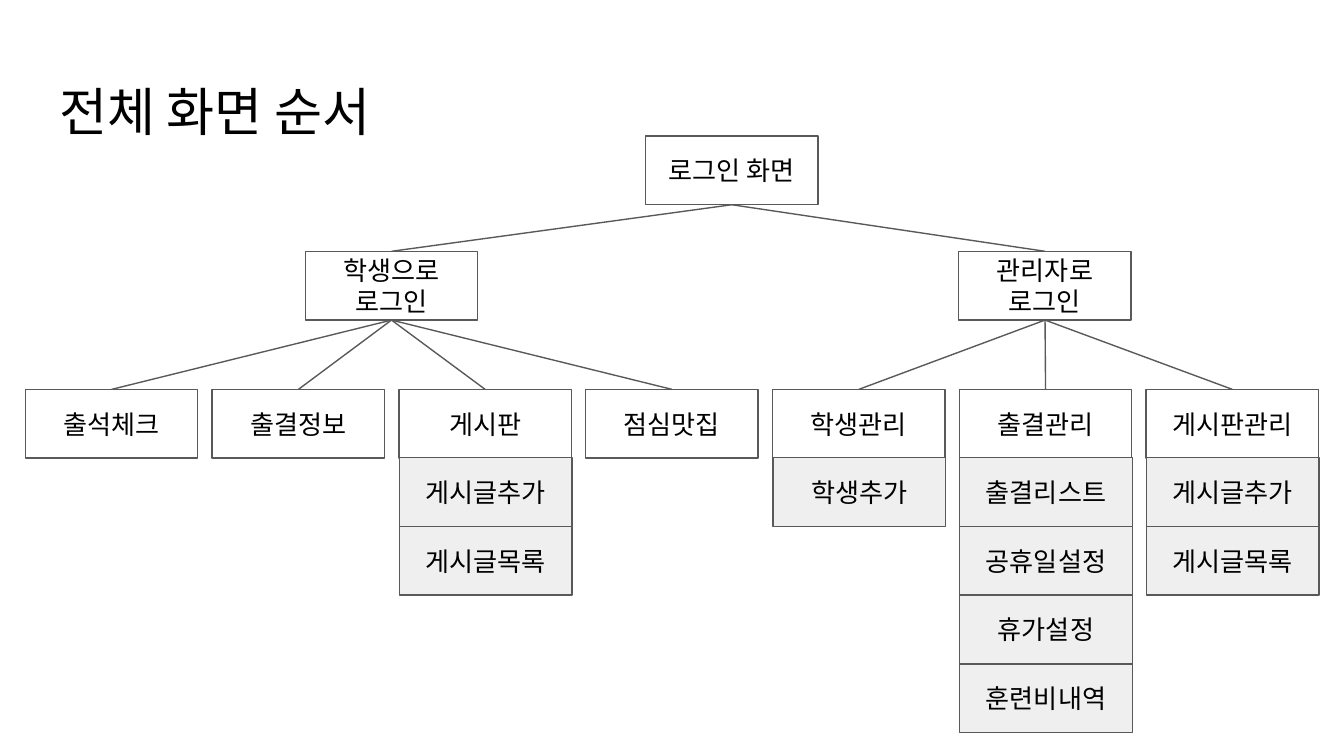
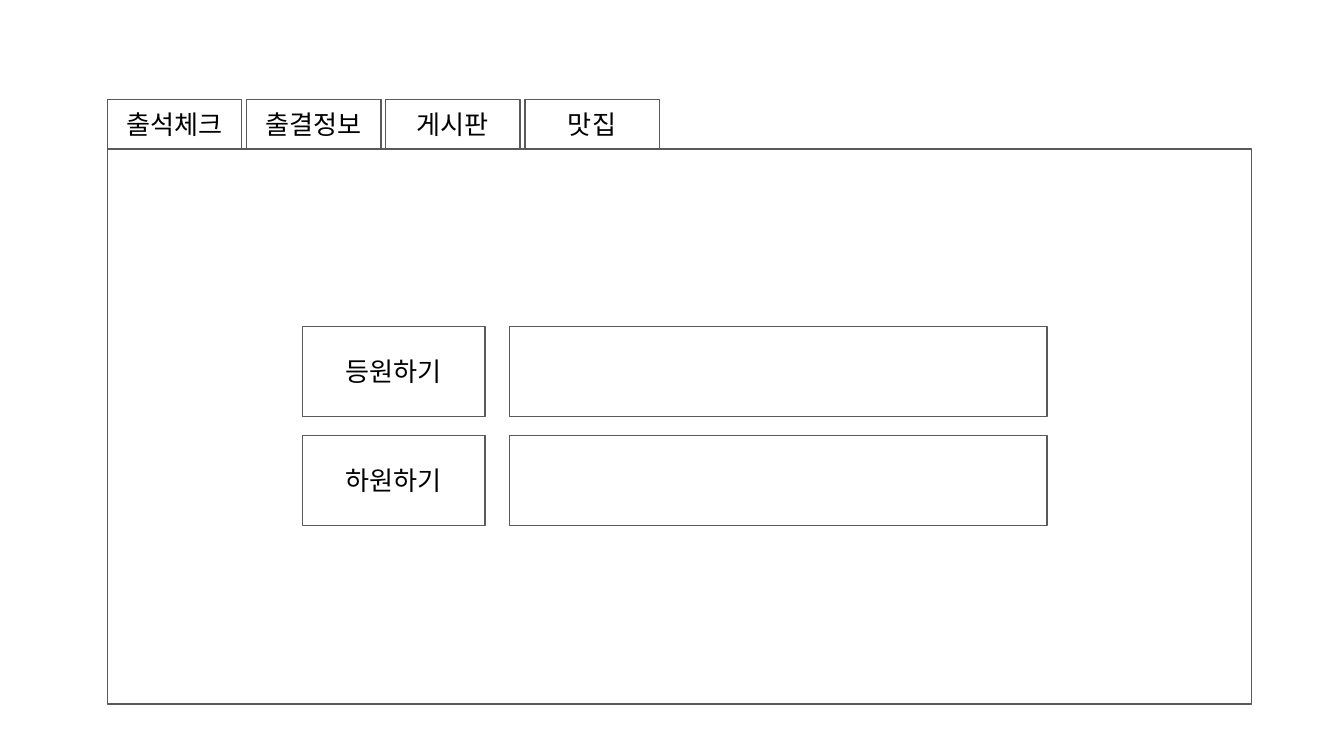
from lxml.etree import SubElement
from pptx import Presentation
from pptx.dml.color import RGBColor
from pptx.enum.shapes import MSO_CONNECTOR, MSO_SHAPE
from pptx.enum.text import MSO_ANCHOR, PP_ALIGN
from pptx.oxml.ns import qn
from pptx.util import Cm, Pt

TOP_SITE, BOTTOM_SITE = 0, 2


def color(hex_value):
    """Turn a hex string into a colour."""
    return RGBColor.from_string(hex_value)


class Wireframe:
    """Hold the shared style and draw elements on the current slide."""

    font = "Arial"
    ink = "000000"
    outline = "595959"
    white = "FFFFFF"
    grey = "EFEFEF"
    inset = Cm(0.25)

    def __init__(self):
        """Start a widescreen presentation."""
        self.presentation = Presentation()
        self.presentation.slide_width = Cm(25.4)
        self.presentation.slide_height = Cm(14.29)
        self.slide = None

    def new_slide(self):
        """Add a blank white slide and make it current."""
        self.slide = self.presentation.slides.add_slide(self.presentation.slide_layouts[6])
        background = self.slide.background.fill
        background.solid()
        background.fore_color.rgb = color(self.white)

    def label(self, shape, text, size, alignment, anchor):
        """Put one run of text into a shape."""
        frame = shape.text_frame
        frame.word_wrap = True
        frame.vertical_anchor = anchor
        frame.margin_left = frame.margin_right = self.inset
        frame.margin_top = frame.margin_bottom = self.inset
        paragraph = frame.paragraphs[0]
        paragraph.alignment = alignment
        run = paragraph.add_run()
        run.text = text
        run.font.name = self.font
        run.font.size = Pt(size)
        run.font.color.rgb = color(self.ink)

    def title(self, text):
        """Add the slide title."""
        shape = self.slide.shapes.add_textbox(Cm(0.87), Cm(1.24), Cm(23.67), Cm(1.6))
        self.label(shape, text, 28, PP_ALIGN.LEFT, MSO_ANCHOR.TOP)

    def box(self, left, top, width, height, text="", fill=white):
        """Add an outlined rectangle with optional centred text."""
        shape = self.slide.shapes.add_shape(
            MSO_SHAPE.RECTANGLE, Cm(left), Cm(top), Cm(width), Cm(height))
        shape.shadow.inherit = False
        shape.fill.solid()
        shape.fill.fore_color.rgb = color(fill)
        shape.line.color.rgb = color(self.outline)
        shape.line.width = Pt(0.75)
        if text:
            self.label(shape, text, 14, PP_ALIGN.CENTER, MSO_ANCHOR.MIDDLE)
        return shape

    def branch(self, child, parent):
        """Connect the top of a child box to the bottom of its parent."""
        connector = self.slide.shapes.add_connector(MSO_CONNECTOR.STRAIGHT, 0, 0, 0, 0)
        connector.begin_connect(child, TOP_SITE)
        connector.end_connect(parent, BOTTOM_SITE)
        connector.line.color.rgb = color(self.outline)
        connector.line.width = Pt(0.75)
        SubElement(connector._element.spPr, qn("a:effectLst"))


def build_screen_tree(wireframe):
    """Draw the tree of all screens."""
    node_width, node_height = 3.26, 1.3
    first_left, column_pitch = 0.48, 3.53
    screen_top, subscreen_top = 7.36, 8.65
    post_screens = ["게시글추가", "게시글목록"]
    logins = [
        ("학생으로 로그인", 5.77, [
            ("출석체크", []),
            ("출결정보", []),
            ("게시판", post_screens),
            ("점심맛집", []),
        ]),
        ("관리자로 로그인", 18.12, [
            ("학생관리", ["학생추가"]),
            ("출결관리", ["출결리스트", "공휴일설정", "휴가설정", "훈련비내역"]),
            ("게시판관리", post_screens),
        ]),
    ]

    wireframe.new_slide()
    wireframe.title("전체 화면 순서")
    root = wireframe.box(12.2, 2.57, node_width, node_height, "로그인 화면")
    column = 0
    for login_name, login_left, screens in logins:
        login = wireframe.box(login_left, 4.75, node_width, node_height, login_name)
        wireframe.branch(login, root)
        for screen_name, subscreens in screens:
            left = first_left + column * column_pitch
            screen = wireframe.box(left, screen_top, node_width, node_height, screen_name)
            wireframe.branch(screen, login)
            for row, subscreen in enumerate(subscreens):
                wireframe.box(left + 0.01, subscreen_top + row * node_height,
                              node_width, node_height, subscreen, wireframe.grey)
            column += 1


def build_attendance_screen(wireframe):
    """Draw the attendance check screen with its tabs."""
    panel_left, tab_pitch = 2.03, 2.63
    first_row, row_pitch, row_height = 6.17, 2.06, 1.7

    wireframe.new_slide()
    for index, tab in enumerate(["출석체크", "출결정보", "게시판", "맛집"]):
        wireframe.box(panel_left + index * tab_pitch, 1.88, 2.54, 0.94, tab)
    wireframe.box(panel_left, 2.82, 21.62, 10.49)
    for index, button in enumerate(["등원하기", "하원하기"]):
        top = first_row + index * row_pitch
        wireframe.box(5.72, top, 3.45, row_height, button)
        wireframe.box(9.63, top, 10.16, row_height)


def main():
    """Build and save the presentation."""
    wireframe = Wireframe()
    build_screen_tree(wireframe)
    build_attendance_screen(wireframe)
    wireframe.presentation.save("out.pptx")


main()
